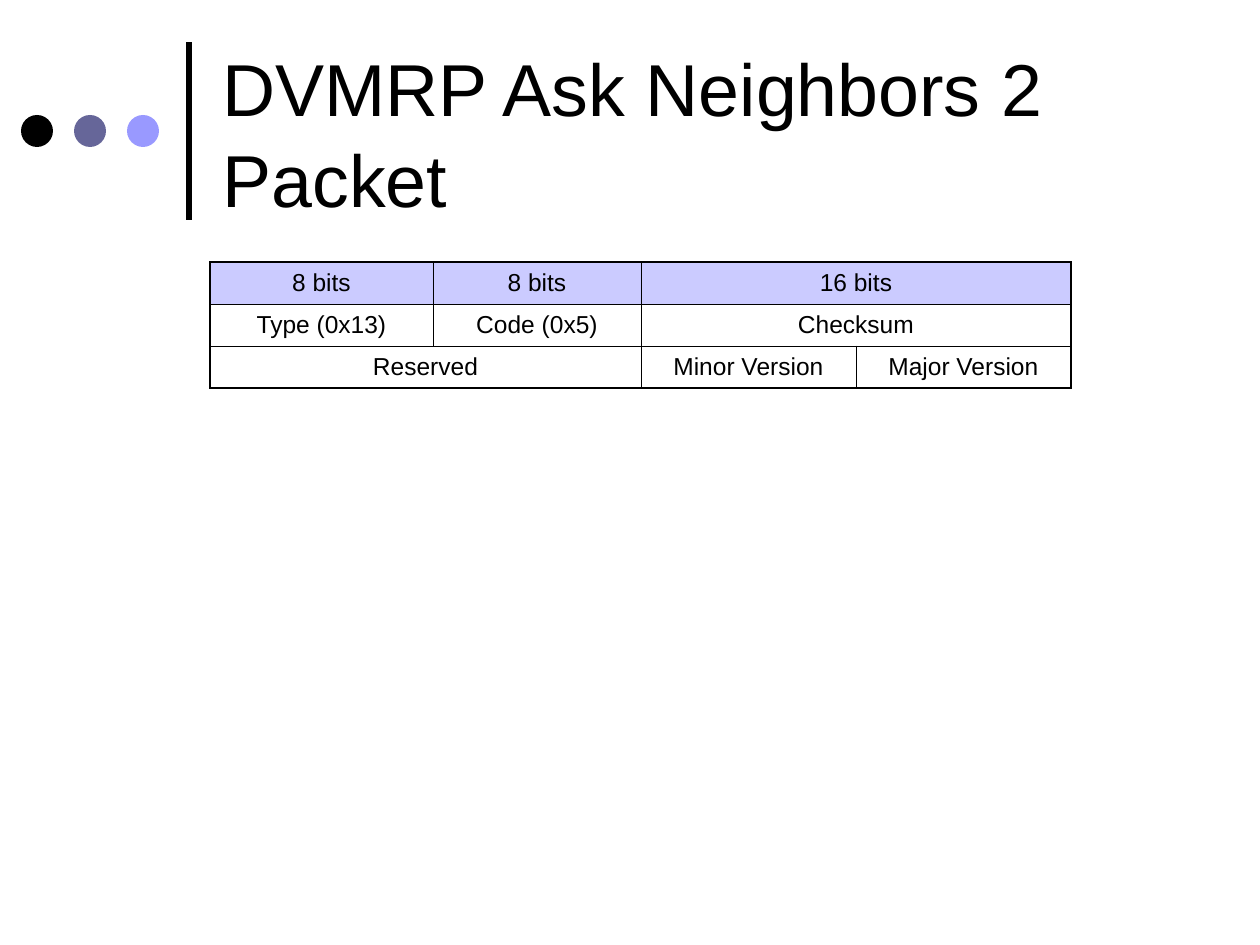
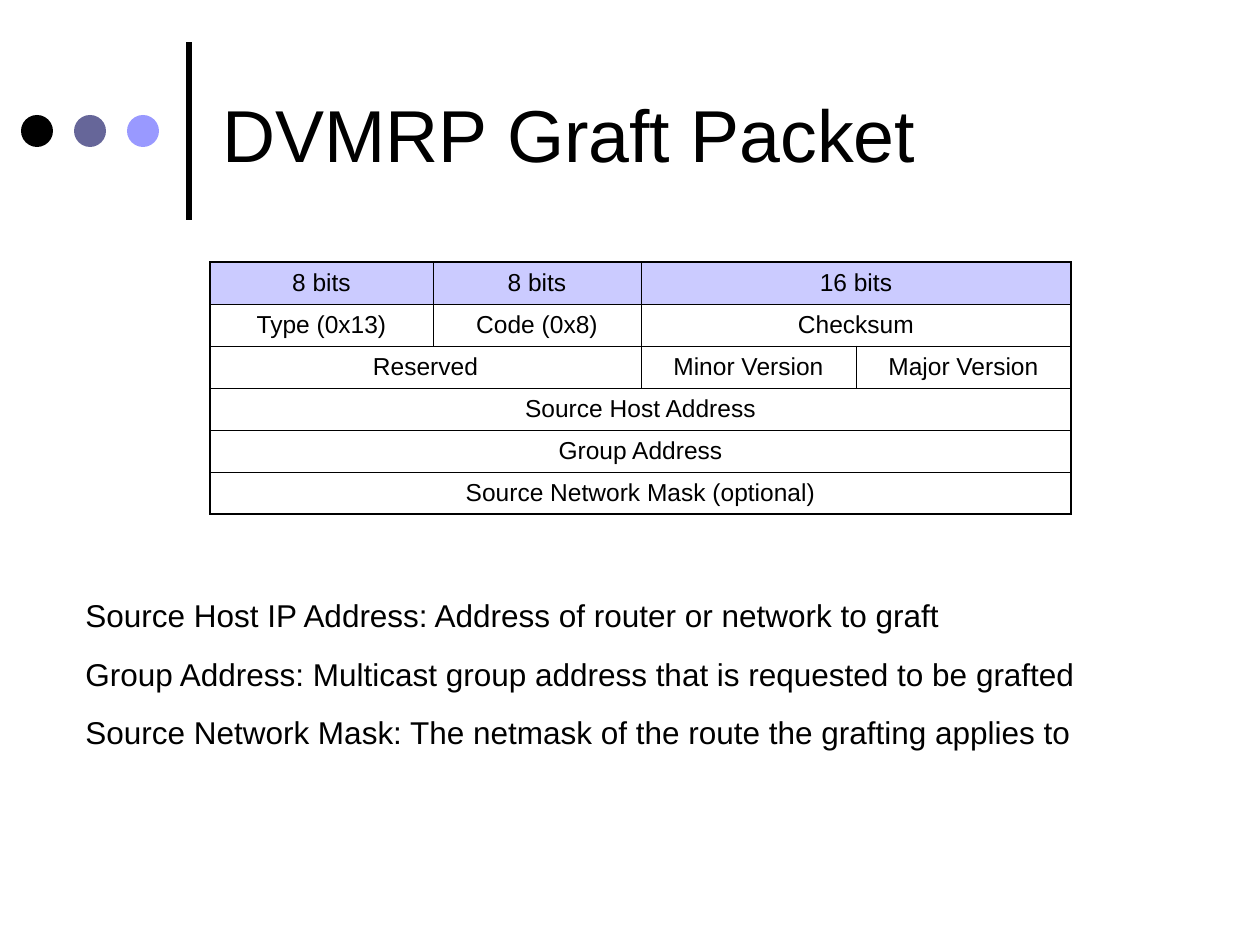
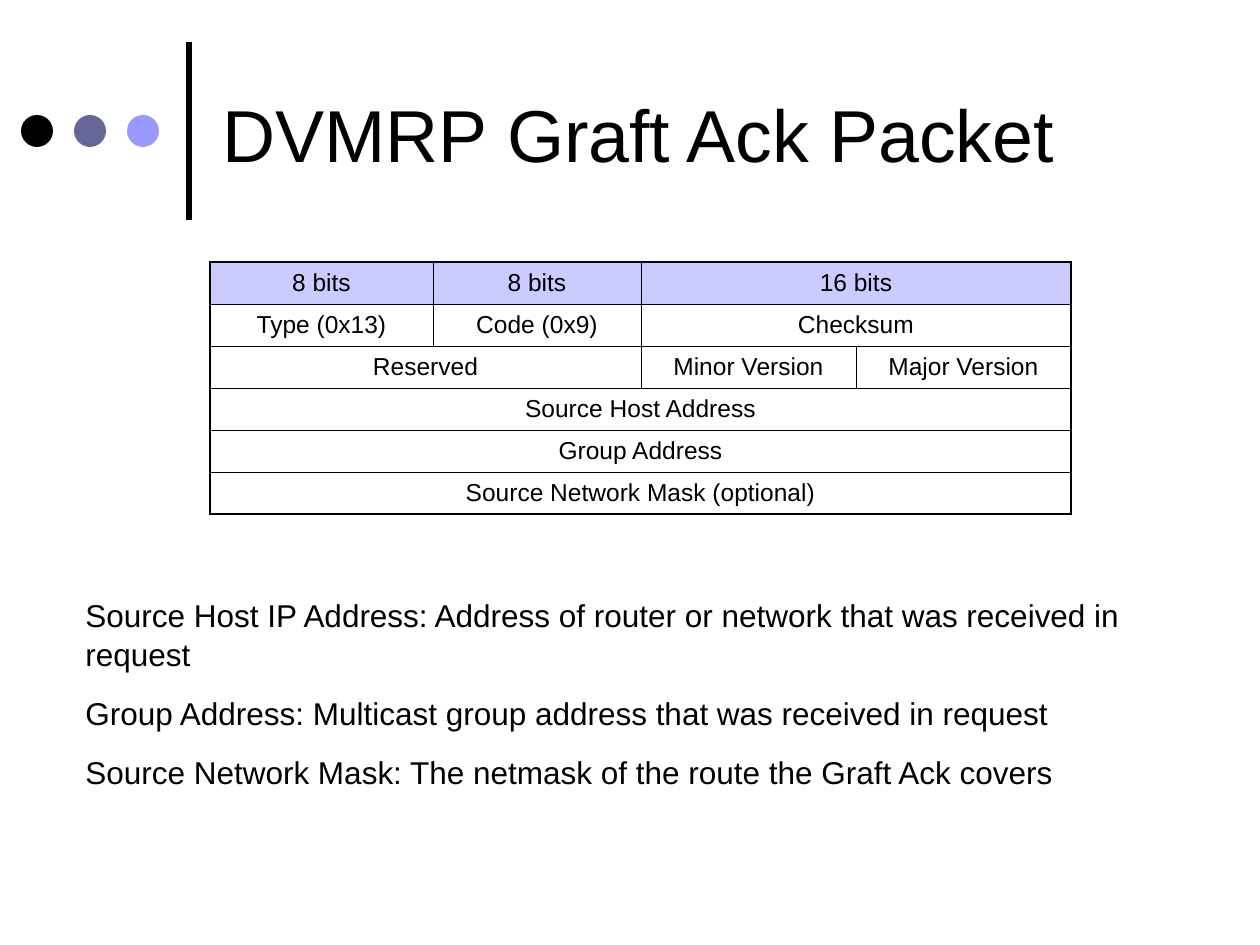
from lxml import etree
from pptx import Presentation
from pptx.dml.color import RGBColor as RGB
from pptx.enum.shapes import MSO_CONNECTOR as LINE, MSO_SHAPE as SHAPE
from pptx.enum.text import MSO_ANCHOR as ANCHOR, MSO_AUTO_SIZE as FIT, PP_ALIGN as ALIGN
from pptx.oxml.ns import qn
from pptx.util import Pt

SCALE = 914400 / 126  # EMU in one px
COLOR = {"ink": "000000", "slate": "666699", "lilac": "9999FF"}
FONT = "Arial"
LEAD = 1.04
COLS = [223, 208, 215, 215]
ROW = 42
THICK, THIN = 1.08, 0.45

# Each field is a label and the number of columns it takes
HEAD = [("8 bits", 1), ("8 bits", 1), ("16 bits", 2)]
VERSION = [("Reserved", 2), ("Minor Version", 1), ("Major Version", 1)]
ROUTE = [[("Source Host Address", 4)], [("Group Address", 4)],
         [("Source Network Mask (optional)", 4)]]

# Title, code, further rows, note height, notes
PACKETS = [
    ("DVMRP Ask Neighbors 2 Packet", "0x5", [], 0, []),
    ("DVMRP Graft Packet", "0x8", ROUTE, 166, [
        "Source Host IP Address: Address of router or network to graft",
        "Group Address: Multicast group address that is requested to be grafted",
        "Source Network Mask: The netmask of the route the grafting applies to"]),
    ("DVMRP Graft Ack Packet", "0x9", ROUTE, 204, [
        "Source Host IP Address: Address of router or network that was received in request",
        "Group Address: Multicast group address that was received in request",
        "Source Network Mask: The netmask of the route the Graft Ack covers"]),
]


def px(*nums):
    return [round(n * SCALE) for n in nums]


def style(para, size, align=ALIGN.LEFT):
    para.alignment = align
    para.line_spacing = LEAD
    para.font.name = FONT
    para.font.size = Pt(size)
    para.font.color.rgb = RGB.from_string(COLOR["ink"])


deck = Presentation()
deck.slide_width, deck.slide_height = px(1260, 945)
layout = deck.slide_layouts[5]

for num, (name, code, more, tall, notes) in enumerate(PACKETS):
    slide = deck.slides.add_slide(layout)
    shapes = slide.shapes

    # Rule and dots, drawn once and moved to the layout
    if num == 0:
        rule = shapes.add_connector(LINE.STRAIGHT, *px(189, 220, 189, 42))
        rule.line.width = Pt(3)
        rule.line.color.rgb = RGB.from_string(COLOR["ink"])
        etree.SubElement(rule.element.spPr, qn("a:effectLst"))
        layout.shapes.element.append(rule.element)
        for i, tint in enumerate(COLOR.values()):
            dot = shapes.add_shape(SHAPE.OVAL, *px(21 + 53 * i, 115, 32, 32))
            dot.shadow.inherit = False
            dot.fill.solid()
            dot.fill.fore_color.rgb = RGB.from_string(tint)
            dot.line.fill.background()
            layout.shapes.element.append(dot.element)

    # Title
    title = shapes.title
    title.left, title.top, title.width, title.height = px(210, 26, 966, 210)
    frame = title.text_frame
    frame.text = name
    frame.word_wrap = True
    frame.auto_size = FIT.NONE
    frame.vertical_anchor = ANCHOR.MIDDLE
    style(frame.paragraphs[0], 42)

    # Packet table
    rows = [HEAD, [("Type (0x13)", 1), (f"Code ({code})", 1), ("Checksum", 2)],
            VERSION, *more]
    table = shapes.add_table(len(rows), len(COLS),
                             *px(210, 262, sum(COLS), ROW * len(rows))).table
    table.first_row = table.horz_banding = False
    for col, wide in zip(table.columns, COLS):
        col.width, = px(wide)
    for r, row in enumerate(rows):
        table.rows[r].height, = px(ROW)
        c = 0
        for label, span in row:
            cell, end = table.cell(r, c), c + span
            if span > 1:
                cell.merge(table.cell(r, end - 1))
            cell.text = label
            style(cell.text_frame.paragraphs[0], 14, ALIGN.CENTER)

            # Thick edges outside, thin ones inside
            outer = {"L": c == 0, "R": end == len(COLS),
                     "T": r == 0, "B": r == len(rows) - 1}
            for k in range(c, end):
                part = table.cell(r, k)
                part.margin_left, part.margin_right, part.margin_top, part.margin_bottom = px(6, 6, 6, 6)
                props = part._tc.get_or_add_tcPr()
                for side, thick in outer.items():
                    edge = etree.SubElement(props, qn(f"a:ln{side}"),
                                            w=str(Pt(THICK if thick else THIN)))
                    paint = etree.SubElement(edge, qn("a:solidFill"))
                    etree.SubElement(paint, qn("a:srgbClr"), val=COLOR["ink"])
                if r:
                    part.fill.background()
                else:
                    part.fill.solid()
                    part.fill.fore_color.rgb = RGB.from_string(COLOR["lilac"])
                    tint = props.find(qn("a:solidFill"))[0]
                    etree.SubElement(tint, qn("a:alpha"), val="50000")
            c = end

    # Notes on the fields
    if notes:
        frame = shapes.add_textbox(*px(73, 588, 1134, tall)).text_frame
        frame.word_wrap = True
        frame.auto_size = FIT.SHAPE_TO_FIT_TEXT
        frame.text = "\n".join(notes)
        for i, para in enumerate(frame.paragraphs):
            style(para, 18)
            if i:
                para.space_before = Pt(11.2)

deck.save("out.pptx")
